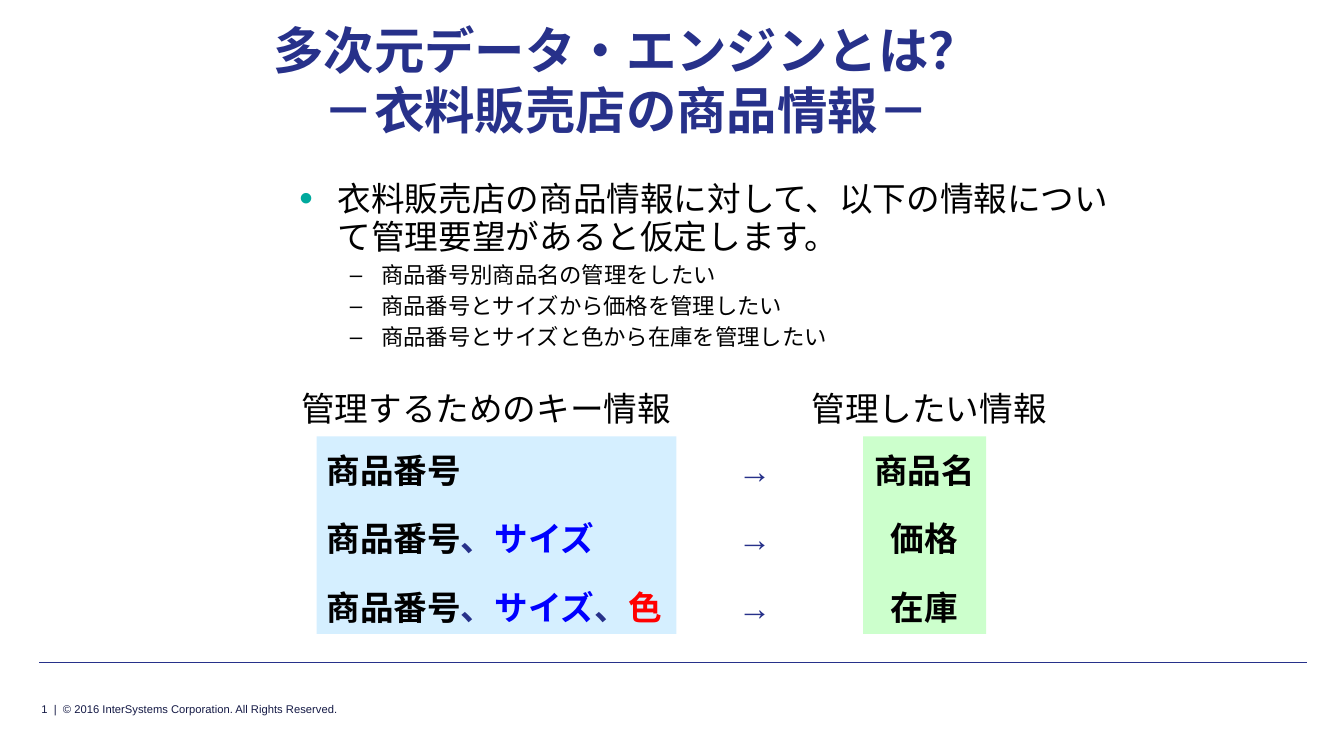
from lxml import etree
from pptx import Presentation
from pptx.dml.color import RGBColor
from pptx.enum import shapes, text
from pptx.oxml import ns
from pptx.util import Inches, Pt

NAVY = RGBColor(0x27, 0x31, 0x8A)
DARK_NAVY = RGBColor(0x14, 0x19, 0x45)
BLACK = RGBColor(0, 0, 0)
WHITE = RGBColor(255, 255, 255)
BLUE = RGBColor(0, 0, 255)
RED = RGBColor(255, 0, 0)
TEAL = RGBColor(0x00, 0xA9, 0x9D)
PALE_BLUE = RGBColor(0xD5, 0xEF, 0xFF)
PALE_GREEN = RGBColor(0xCC, 0xFF, 0xCC)
GOTHIC = "Noto Sans CJK JP"
LEFT, CENTER = text.PP_ALIGN.LEFT, text.PP_ALIGN.CENTER


def style(paragraph, size, color, face=GOTHIC, bold=False):
    font = paragraph.font
    font.size, font.name, font.bold = Pt(size), face, bold
    font.color.rgb = color
    defaults = paragraph._p.pPr.find(ns.qn("a:defRPr"))
    etree.SubElement(defaults, ns.qn("a:ea"), typeface=face)


def place(shape, left, top, width, height):
    shape.left, shape.top = Inches(left), Inches(top)
    shape.width, shape.height = Inches(width), Inches(height)


prs = Presentation()
prs.slide_width, prs.slide_height = Inches(13.33), Inches(7.5)
slide = prs.slides.add_slide(prs.slide_layouts[1])
slide.background.fill.solid()
slide.background.fill.fore_color.rgb = WHITE

rule = slide.shapes.add_connector(
    shapes.MSO_CONNECTOR.STRAIGHT, Inches(0.39), Inches(6.57), Inches(12.96), Inches(6.57))
rule.line.color.rgb = NAVY
rule.line.width = Pt(0.75)
etree.SubElement(rule._element.spPr, ns.qn("a:effectLst"))

copyright_line = slide.shapes.add_textbox(Inches(0.39), Inches(6.95), Inches(4.7), Inches(0.18))
frame = copyright_line.text_frame
frame.word_wrap = True
frame.margin_left = frame.margin_right = frame.margin_top = frame.margin_bottom = Inches(0.02)
frame.text = "1  |  © 2016 InterSystems Corporation. All Rights Reserved."
style(frame.paragraphs[0], 8, DARK_NAVY, "Arial")

title = slide.shapes.title
place(title, 1.67, 0.2, 9.08, 1.17)
title.text_frame.auto_size = text.MSO_AUTO_SIZE.NONE
title.text_frame.text = "多次元データ・エンジンとは？\v－衣料販売店の商品情報－"
title.text_frame.paragraphs[0].alignment = CENTER
style(title.text_frame.paragraphs[0], 36, NAVY, bold=True)

requirements = slide.placeholders[1]
place(requirements, 2.87, 1.74, 8.35, 1.84)
frame = requirements.text_frame
frame.auto_size = text.MSO_AUTO_SIZE.NONE
frame.text = "\n".join([
    "衣料販売店の商品情報に対して、以下の情報について管理要望があると仮定します。",
    "商品番号別商品名の管理をしたい",
    "商品番号とサイズから価格を管理したい",
    "商品番号とサイズと色から在庫を管理したい",
])
for index, paragraph in enumerate(frame.paragraphs):
    level = min(index, 1)
    paragraph.level = level
    paragraph.line_spacing = 0.95
    paragraph.space_before = Pt(4 * level)
    indent, hanging, bullet, size = [(0.38, 0.38, "•", 24), (0.81, 0.31, "–", 16)][level]
    properties = paragraph._p.get_or_add_pPr()
    properties.set("marL", str(Inches(indent)))
    properties.set("indent", str(-Inches(hanging)))
    if level == 0:
        bullet_color = etree.SubElement(properties, ns.qn("a:buClr"))
        etree.SubElement(bullet_color, ns.qn("a:srgbClr"), val=str(TEAL))
        etree.SubElement(properties, ns.qn("a:buSzPct"), val="115000")
    etree.SubElement(properties, ns.qn("a:buFont"), typeface="Arial")
    etree.SubElement(properties, ns.qn("a:buChar"), char=bullet)
    style(paragraph, size, BLACK)

for heading, left, width in [("管理するためのキー情報", 2.89, 3.9), ("管理したい情報", 7.95, 2.56)]:
    label = slide.shapes.add_textbox(Inches(left), Inches(3.8), Inches(width), Inches(0.5))
    label.text_frame.text = heading
    style(label.text_frame.paragraphs[0], 24, BLACK)

keys = ["商品番号", "商品番号、サイズ", "商品番号、サイズ、色"]
arrows = ["→"] * 3
values = ["商品名", "価格", "在庫"]
part_colors = {"、": NAVY, "サイズ": BLUE, "色": RED}
columns = [
    (keys, 3.14, 3.57, PALE_BLUE, LEFT, GOTHIC, BLACK),
    (arrows, 7.22, 0.54, None, LEFT, "Times New Roman", NAVY),
    (values, 8.56, 1.22, PALE_GREEN, CENTER, GOTHIC, BLACK),
]
for entries, left, width, fill, alignment, face, color in columns:
    column = slide.shapes.add_textbox(Inches(left), Inches(4.33), Inches(width), Inches(1.96))
    if fill is not None:
        column.fill.solid()
        column.fill.fore_color.rgb = fill
    frame = column.text_frame
    for row, entry in enumerate(entries):
        paragraph = frame.add_paragraph() if row else frame.paragraphs[0]
        paragraph.alignment = alignment
        paragraph.line_spacing = 1.7 if row else 1.2
        style(paragraph, 24, color, face, bold=face == GOTHIC)
        for part in entry.replace("、", "|、|").split("|"):
            run = paragraph.add_run()
            run.text = part
            if part in part_colors:
                run.font.color.rgb = part_colors[part]

prs.save("out.pptx")
